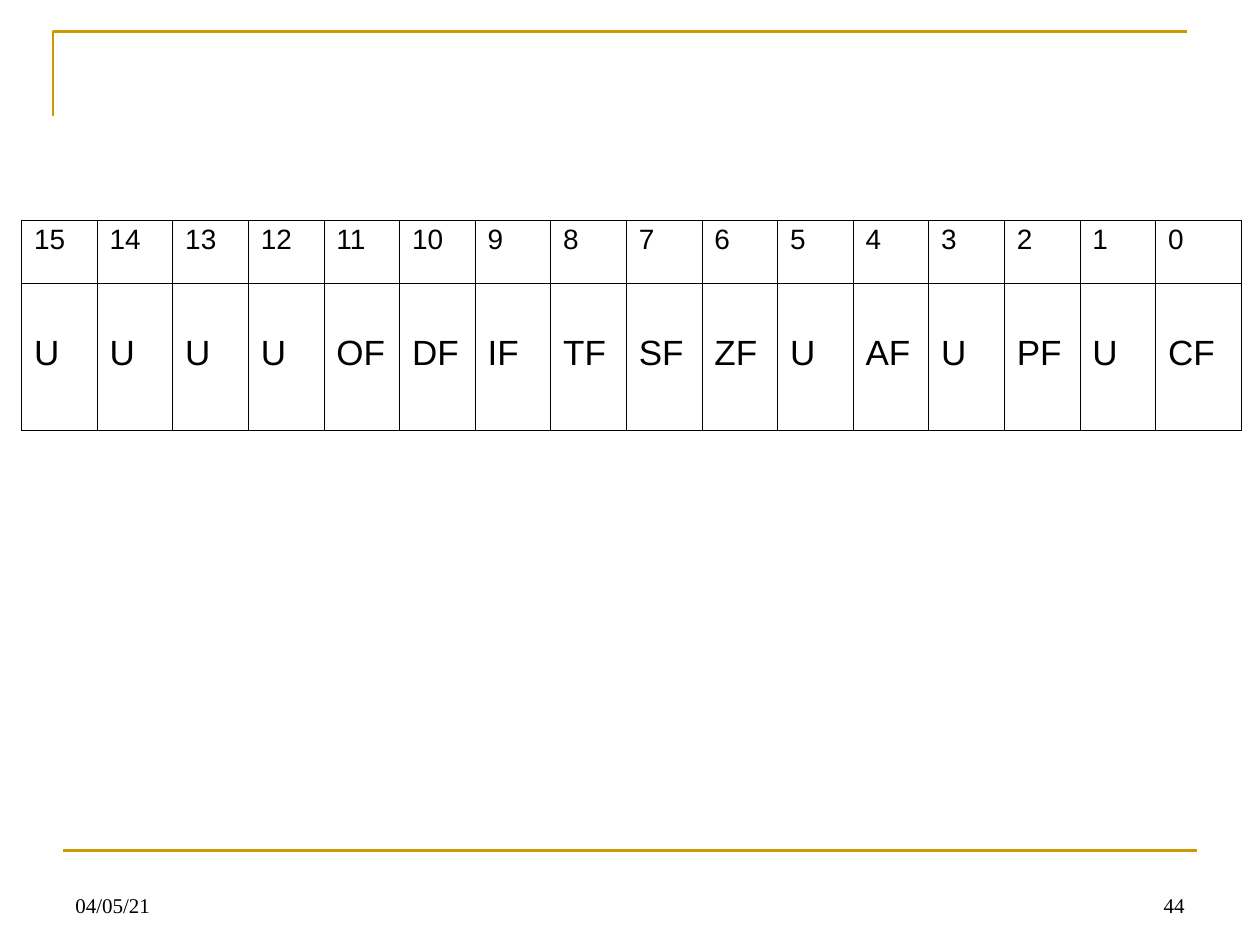
from dataclasses import dataclass

from lxml.etree import SubElement
from pptx import Presentation
from pptx.dml.color import RGBColor
from pptx.enum.shapes import MSO_CONNECTOR
from pptx.enum.text import MSO_ANCHOR, PP_ALIGN
from pptx.oxml.ns import qn
from pptx.util import Inches, Pt

GOLD, BLACK = "CC9900", "000000"
OUTER_BORDER, INNER_BORDER = 0.5, 0.23
FLAGS = "U U U U OF DF IF TF SF ZF U AF U PF U CF".split()
BITS = [str(bit) for bit in reversed(range(len(FLAGS)))]


@dataclass
class FooterText:
    text: str
    left: float
    alignment: PP_ALIGN


@dataclass
class RegisterRow:
    labels: list[str]
    height: float
    size: int
    margin_top: float


FOOTERS = [
    FooterText("04/05/21", 0.5, PP_ALIGN.LEFT),
    FooterText("44", 7.17, PP_ALIGN.RIGHT),
]
ROWS = [RegisterRow(BITS, 0.5, 16, 0.05), RegisterRow(FLAGS, 1.17, 20, 0.42)]


def color(value: str) -> RGBColor:
    return RGBColor.from_string(value)


def set_all(target, values: dict) -> None:
    for name, value in values.items():
        setattr(target, name, value)


def style_font(paragraph, size: int, name: str) -> None:
    set_all(paragraph.font, {"size": Pt(size), "name": name})
    paragraph.font.color.rgb = color(BLACK)


def style_rule(line) -> None:
    line.color.rgb = color(GOLD)
    line.width = Pt(1.5)


def add_rules(slide) -> None:
    # Corner bracket at the top
    builder = slide.shapes.build_freeform(Inches(0.42), Inches(0.92))
    builder.add_line_segments(
        [(Inches(0.42), Inches(0.25)), (Inches(9.42), Inches(0.25))], close=False
    )
    bracket = builder.convert_to_shape()
    bracket.fill.background()
    bracket.shadow.inherit = False
    style_rule(bracket.line)

    # Rule above the footer
    footer_rule = slide.shapes.add_connector(
        MSO_CONNECTOR.STRAIGHT, Inches(0.5), Inches(6.75), Inches(9.5), Inches(6.75)
    )
    style_rule(footer_rule.line)
    SubElement(footer_rule._element.spPr, qn("a:effectLst"))


def add_footer(slide, footer: FooterText) -> None:
    box = slide.shapes.add_textbox(
        Inches(footer.left), Inches(6.83), Inches(2.33), Inches(0.5)
    )
    set_all(box.text_frame, {
        "word_wrap": True,
        "vertical_anchor": MSO_ANCHOR.BOTTOM,
        "text": footer.text,
    })
    paragraph = box.text_frame.paragraphs[0]
    paragraph.alignment = footer.alignment
    style_font(paragraph, 12, "Times New Roman")


def set_borders(cell, widths: dict[str, float]) -> None:
    properties = cell._tc.get_or_add_tcPr()
    for side, width in widths.items():
        line = SubElement(properties, qn(f"a:ln{side}"), w=str(int(Pt(width))))
        fill = SubElement(line, qn("a:solidFill"))
        SubElement(fill, qn("a:srgbClr"), val=BLACK)


def add_register(slide, rows: list[RegisterRow]) -> None:
    count = len(rows[0].labels)
    table = slide.shapes.add_table(
        len(rows), count, Inches(0.17), Inches(1.75), Inches(9.68), Inches(1.67)
    ).table
    set_all(table, {"first_row": False, "horz_banding": False})
    last_row, last_column = len(rows) - 1, count - 1
    for index, column in enumerate(table.columns):
        column.width = Inches(0.68 if index == last_column else 0.6)

    for row_index, row in enumerate(rows):
        table.rows[row_index].height = Inches(row.height)
        for column_index, label in enumerate(row.labels):
            cell = table.cell(row_index, column_index)
            set_all(cell, {
                "text": label,
                "margin_left": Inches(0.1),
                "margin_right": Inches(0.1),
                "margin_top": Inches(row.margin_top),
                "margin_bottom": Inches(0.05),
            })
            paragraph = cell.text_frame.paragraphs[0]
            paragraph.line_spacing = 0.93
            style_font(paragraph, row.size, "Arial")
            # Outside edges are heavier than the grid
            on_edge = {
                "L": column_index == 0,
                "R": column_index == last_column,
                "T": row_index == 0,
                "B": row_index == last_row,
            }
            set_borders(cell, {
                side: OUTER_BORDER if outer else INNER_BORDER
                for side, outer in on_edge.items()
            })
            cell.fill.background()


def main() -> None:
    presentation = Presentation()
    set_all(presentation, {"slide_width": Inches(10), "slide_height": Inches(7.5)})
    slide = presentation.slides.add_slide(presentation.slide_layouts[6])
    add_rules(slide)
    for footer in FOOTERS:
        add_footer(slide, footer)
    add_register(slide, ROWS)
    presentation.save("out.pptx")


if __name__ == "__main__":
    main()
